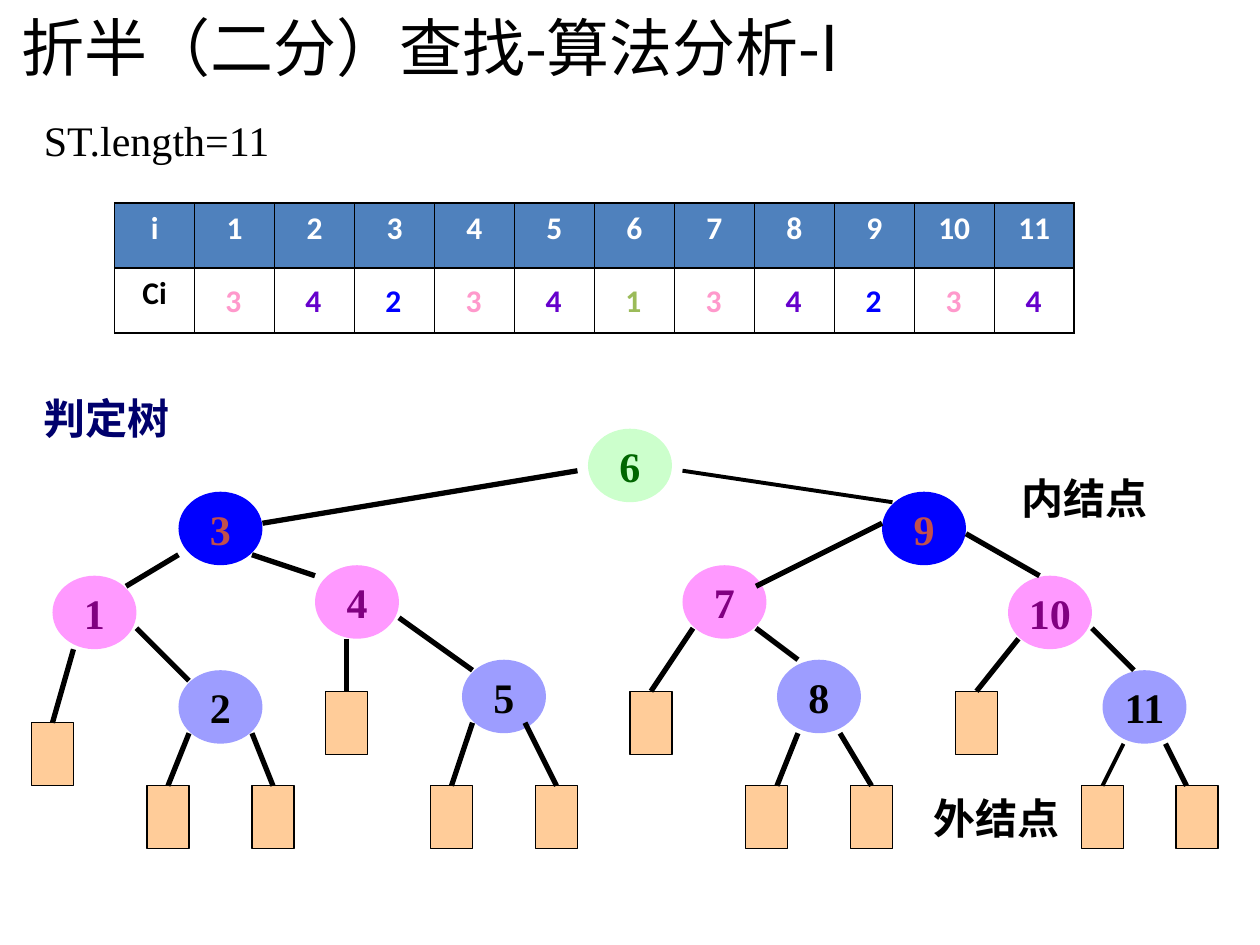
from dataclasses import dataclass

import lxml.etree
import pptx
import pptx.dml.color
import pptx.enum.shapes
import pptx.enum.text
import pptx.oxml.ns
import pptx.util

Pt = pptx.util.Pt
qn = pptx.oxml.ns.qn
ALIGN = pptx.enum.text.PP_ALIGN
ANCHOR = pptx.enum.text.MSO_ANCHOR
SHAPE = pptx.enum.shapes.MSO_SHAPE

COLORS = {
    "black": "000000", "white": "FFFFFF", "navy": "00006C",
    "header": "4F81BD", "leaf": "FFCC99",
}
# Per tree level: node fill, node text, comparison count
LEVELS = {
    1: ("CCFFCC", "006600", "9BBB59"),
    2: ("0000FF", "C0504D", "0000FF"),
    3: ("FF99FF", "800080", "FF99CC"),
    4: ("9D9DFF", "000000", "6600CC"),
}
SERIF, SANS, CJK = "Times New Roman", "Calibri", "Noto Sans CJK SC"
NODE_W, NODE_H = 48, 42
LEAF_W, LEAF_H = 24, 36
TABLE_X, TABLE_Y, COL_W, ROW_H = 65.5, 116, 45.72, 37.1


@dataclass
class Node:
    key: int
    level: int
    x: float
    y: float


@dataclass
class Edge:
    x1: float
    y1: float
    x2: float
    y2: float
    width: float = 3


@dataclass
class Leaf:
    x: float
    y: float
    from_x: float
    from_y: float
    offset: float = 0  # edge end, measured from the middle of the top side
    width: float = 3


@dataclass
class Label:
    text: str
    x: float
    y: float
    w: float
    h: float = 36
    size: float = 24
    font: str = CJK
    color: str = COLORS["black"]
    bold: bool = True
    align: ALIGN = ALIGN.LEFT
    anchor: ANCHOR = ANCHOR.TOP
    wrap: bool = True


NODES = [
    Node(1, 3, 30, 329), Node(2, 4, 102, 383), Node(3, 2, 102, 281),
    Node(4, 3, 180, 323), Node(5, 4, 264, 377), Node(6, 1, 336, 245),
    Node(7, 3, 390, 323), Node(8, 4, 444, 377), Node(9, 2, 504, 281),
    Node(10, 3, 576, 329), Node(11, 4, 630, 383),
]
EDGES = [
    Edge(330, 269, 150, 299), Edge(390, 269, 510, 287, 2.25),
    Edge(102, 317, 72, 335), Edge(144, 317, 180, 329),
    Edge(78, 359, 108, 389), Edge(228, 353, 270, 383),
    Edge(504, 299, 432, 335), Edge(552, 305, 594, 329),
    Edge(432, 359, 456, 377), Edge(624, 359, 648, 383),
]
LEAVES = [
    Leaf(18, 413, 42, 371), Leaf(84, 449, 108, 419),
    Leaf(144, 449, 144, 419), Leaf(186, 395, 198, 365),
    Leaf(246, 449, 270, 413), Leaf(306, 449, 300, 413),
    Leaf(360, 395, 396, 359), Leaf(426, 449, 456, 419, offset=6),
    Leaf(486, 449, 480, 419), Leaf(546, 395, 582, 365),
    Leaf(618, 449, 642, 425, width=2.25), Leaf(672, 449, 666, 425, offset=-6),
]
LABELS = [
    Label("折半（二分）查找-算法分析-I", 5, 0.7, 648, 51, 36, "Noto Sans CJK JP",
          bold=False, anchor=ANCHOR.MIDDLE),
    Label("ST.length=11", 18, 62, 648, font=SERIF, bold=False),
    Label("判定树", 18, 221, 87, color=COLORS["navy"], wrap=False),
    Label("内结点", 576.7, 266.4, 89.3),
    Label("外结点", 526.3, 449.3, 87.8, wrap=False),
]


def rgb(value: str) -> pptx.dml.color.RGBColor:
    return pptx.dml.color.RGBColor.from_string(value)


def write(tf, text: str, size: float, font: str, color: str,
          bold: bool = True, align: ALIGN = ALIGN.CENTER) -> None:
    tf.text = text
    p = tf.paragraphs[0]
    p.alignment = align
    for r in p.runs:
        r.font.size, r.font.name, r.font.bold = Pt(size), font, bold
        r.font.color.rgb = rgb(color)
        ea = lxml.etree.SubElement(r.font._element, qn("a:ea"))
        ea.set("typeface", font)


def add_label(s, label: Label) -> None:
    sp = s.shapes.add_textbox(Pt(label.x), Pt(label.y), Pt(label.w), Pt(label.h))
    tf = sp.text_frame
    tf.word_wrap, tf.vertical_anchor = label.wrap, label.anchor
    write(tf, label.text, label.size, label.font, label.color, label.bold, label.align)


def add_node(s, node: Node) -> None:
    fill, color, _ = LEVELS[node.level]
    sp = s.shapes.add_shape(SHAPE.OVAL, Pt(node.x), Pt(node.y), Pt(NODE_W), Pt(NODE_H))
    sp.shadow.inherit = False
    sp.fill.solid()
    sp.fill.fore_color.rgb = rgb(fill)
    sp.line.fill.background()
    tf = sp.text_frame
    tf.word_wrap, tf.vertical_anchor = False, ANCHOR.MIDDLE
    write(tf, str(node.key), 24, SERIF, color)


def add_edge(s, edge: Edge):
    line = s.shapes.add_connector(
        pptx.enum.shapes.MSO_CONNECTOR.STRAIGHT,
        Pt(edge.x1), Pt(edge.y1), Pt(edge.x2), Pt(edge.y2))
    line.line.color.rgb = rgb(COLORS["black"])
    line.line.width = Pt(edge.width)
    lxml.etree.SubElement(line._element.spPr, qn("a:effectLst"))
    return line


def add_leaf(s, leaf: Leaf) -> None:
    sp = s.shapes.add_shape(SHAPE.RECTANGLE, Pt(leaf.x), Pt(leaf.y), Pt(LEAF_W), Pt(LEAF_H))
    sp.shadow.inherit = False
    sp.fill.solid()
    sp.fill.fore_color.rgb = rgb(COLORS["leaf"])
    sp.line.color.rgb = rgb(COLORS["black"])
    sp.line.width = Pt(0.75)
    end_x = leaf.x + LEAF_W / 2 + leaf.offset
    line = add_edge(s, Edge(leaf.from_x, leaf.from_y, end_x, leaf.y, leaf.width))
    if not leaf.offset:
        line.end_connect(sp, 0)


def style_cell(cell, text: str, fill: str, color: str) -> None:
    tcPr = cell._tc.get_or_add_tcPr()
    for side in ("lnL", "lnR", "lnT", "lnB"):
        ln = lxml.etree.SubElement(tcPr, qn(f"a:{side}"), w=str(Pt(1)))
        solid = lxml.etree.SubElement(ln, qn("a:solidFill"))
        lxml.etree.SubElement(solid, qn("a:srgbClr"), val=COLORS["black"])
    cell.fill.solid()
    cell.fill.fore_color.rgb = rgb(fill)
    if text:
        write(cell.text_frame, text, 18, SANS, color)


def add_count_table(s) -> None:
    n = len(NODES) + 1
    table = s.shapes.add_table(2, n, Pt(TABLE_X), Pt(TABLE_Y),
                               Pt(COL_W * n), Pt(ROW_H * 2)).table
    for row in table.rows:
        row.height = Pt(ROW_H)
    for i in range(n):
        table.columns[i].width = Pt(COL_W)
        style_cell(table.cell(0, i), str(i or "i"), COLORS["header"], COLORS["white"])
        style_cell(table.cell(1, i), "" if i else "Ci", COLORS["white"], COLORS["black"])
    # Comparison counts lie over the second row
    for node in NODES:
        add_label(s, Label(str(node.level), TABLE_X + COL_W * node.key + 1.2, 157, 42, 29,
                           18, SANS, LEVELS[node.level][2], align=ALIGN.CENTER))


def main() -> None:
    prs = pptx.Presentation()
    prs.slide_width, prs.slide_height = Pt(720), Pt(540)
    s = prs.slides.add_slide(prs.slide_layouts[6])
    # Decision tree
    for node in NODES:
        add_node(s, node)
    for edge in EDGES:
        add_edge(s, edge)
    for leaf in LEAVES:
        add_leaf(s, leaf)
    # Title, captions and table
    for label in LABELS:
        add_label(s, label)
    add_count_table(s)
    prs.save("out.pptx")


if __name__ == "__main__":
    main()
